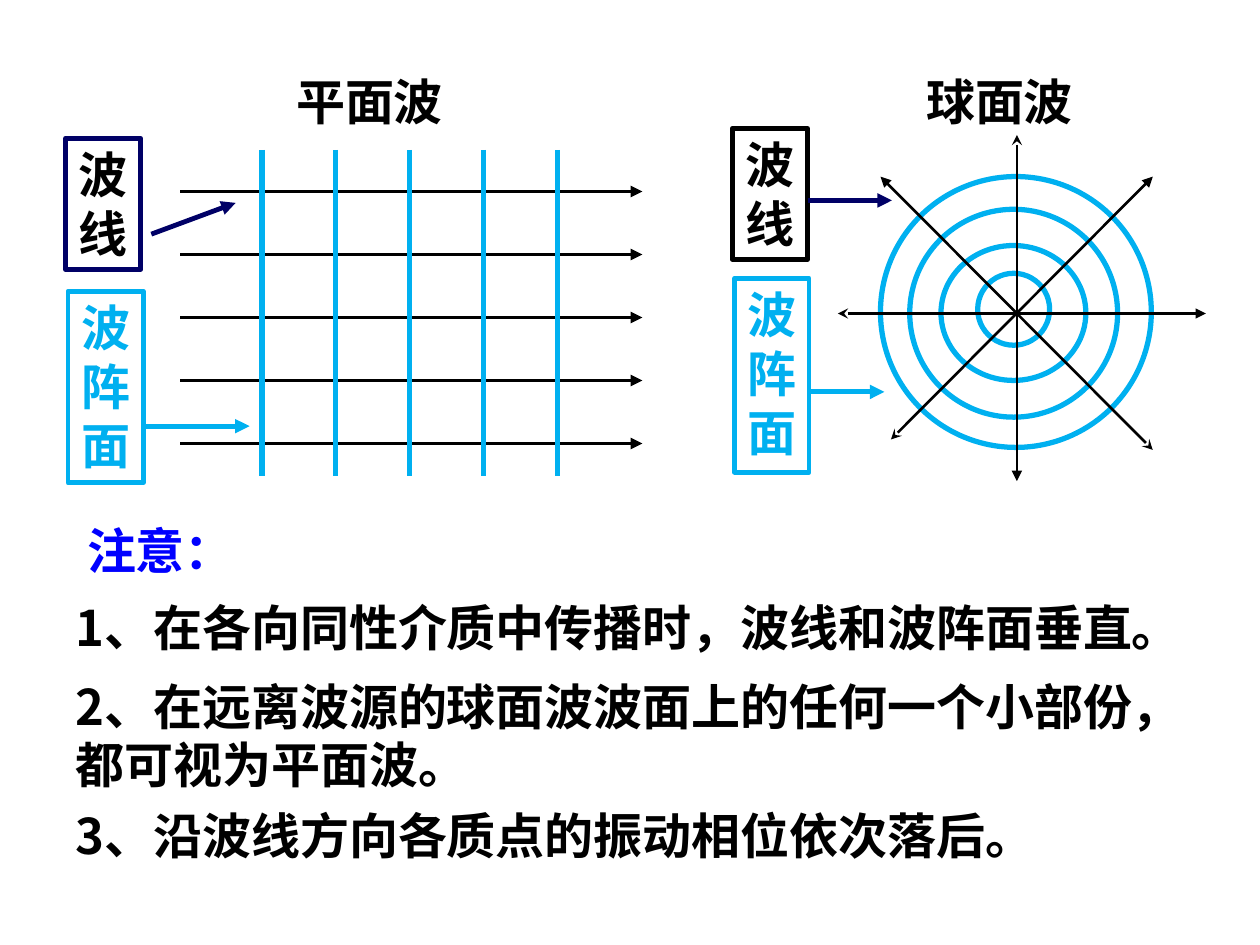
from pptx import Presentation
from pptx.dml.color import RGBColor
from pptx.enum.shapes import MSO_CONNECTOR, MSO_SHAPE
from pptx.enum.text import MSO_ANCHOR, MSO_AUTO_SIZE, PP_ALIGN
from pptx.oxml.ns import qn
from pptx.util import Cm, Pt
from lxml import etree

BLACK = RGBColor(0x00, 0x00, 0x00)
NAVY = RGBColor(0x00, 0x00, 0x66)
SKY = RGBColor(0x00, 0xB0, 0xF0)
BLUE = RGBColor(0x00, 0x00, 0xFF)
FONT = "Noto Sans CJK SC"
LEFT, CENTER = PP_ALIGN.LEFT, PP_ALIGN.CENTER
TOP, NONE = MSO_ANCHOR.TOP, MSO_AUTO_SIZE.NONE
STRAIGHT = MSO_CONNECTOR.STRAIGHT
RECT, OVAL = MSO_SHAPE.RECTANGLE, MSO_SHAPE.OVAL


def write(shape, lines, color=BLACK, align=LEFT, wrap=False, gaps=(0, 0, 0)):
    """Fill a shape with bold lines; gaps are the points before each line."""
    frame = shape.text_frame
    frame.auto_size, frame.word_wrap = NONE, wrap
    frame.vertical_anchor = TOP
    frame.text = "\n".join(lines)
    for para, gap in zip(frame.paragraphs, gaps):
        props = para._p.get_or_add_pPr()
        props.set("marL", "0")
        props.set("indent", "0")
        etree.SubElement(props, qn("a:buNone"))
        para.alignment, para.space_before = align, Pt(gap)
        font = para.runs[0].font
        font.size, font.bold, font.name = Pt(28), True, FONT
        font.color.rgb = color
        east = etree.SubElement(font._element, qn("a:ea"))
        east.set("typeface", FONT)


def draw(x1, y1, x2, y2, color=BLACK, width=2.75, head=None, tail="triangle"):
    """Add a line; head and tail name the arrowheads at its start and end."""
    line = slide.shapes.add_connector(STRAIGHT, Cm(x1), Cm(y1), Cm(x2), Cm(y2))
    line.line.color.rgb, line.line.width = color, Pt(width)
    stroke = line.line._get_or_add_ln()
    for tag, kind in (("a:headEnd", head), ("a:tailEnd", tail)):
        if kind:
            etree.SubElement(stroke, qn(tag)).set("type", kind)
    etree.SubElement(line._element.spPr, qn("a:effectLst"))


deck = Presentation()
deck.slide_width, deck.slide_height = Cm(25.4), Cm(19.05)
slide = deck.slides.add_slide(deck.slide_layouts[1])

# Headings of the two diagrams
for left, name in ((5.72, "平面波"), (18.42, "球面波")):
    box = slide.shapes.add_textbox(Cm(left), Cm(1.32), Cm(5.92), Cm(1.45))
    write(box, [name], wrap=True)

# Plane wave: rays, then wave fronts
for row in range(5):
    y = 3.86 + 1.27 * row
    draw(3.63, y, 12.95, y, width=2.25)
for col in range(5):
    x = 5.28 + 1.49 * col
    draw(x, 3.02, x, 9.6, color=SKY, width=3, tail=None)

# Spherical wave: wave fronts, then rays
fronts = [
    (17.75, 3.56, 5.46, 5.46),
    (18.34, 4.22, 4.19, 4.19),
    (18.97, 4.95, 2.92, 2.72),
    (19.71, 5.51, 1.45, 1.45),
]
for front in fronts:
    ring = slide.shapes.add_shape(OVAL, *map(Cm, front))
    ring.shadow.inherit = False
    ring.fill.background()
    ring.line.color.rgb, ring.line.width = SKY, Pt(3)

rays = [
    (16.89, 6.32, 24.31, 6.32),
    (20.5, 2.72, 20.5, 9.7),
    (17.96, 8.86, 23.24, 3.56),
    (23.24, 9.07, 17.75, 3.56),
]
for ray in rays:
    draw(*ray, width=1.5, head="stealth")

# Labels: text, box, border, text colour, pointer, pointer colour
labels = [
    ("波线", (1.32, 2.79, 1.52, 2.64), NAVY, BLACK, (3.05, 4.72, 4.75, 4.09), NAVY),
    ("波阵面", (1.37, 5.87, 1.52, 3.86), SKY, SKY, (2.9, 8.59, 5.03, 8.59), SKY),
    ("波阵面", (14.81, 5.61, 1.5, 3.91), SKY, SKY, (16.33, 7.9, 17.83, 7.9), SKY),
    ("波线", (14.76, 2.59, 1.52, 2.64), BLACK, BLACK, (16.28, 4.04, 17.98, 4.04), NAVY),
]
for text, place, edge, ink, arrow, tint in labels:
    label = slide.shapes.add_shape(RECT, *map(Cm, place))
    label.shadow.inherit = False
    label.fill.background()
    label.line.color.rgb, label.line.width = edge, Pt(2.75)
    write(label, text, color=ink, align=CENTER)
    draw(*arrow, color=tint)

# Notes
title, body = slide.placeholders
title.left, title.top, title.width, title.height = Cm(1.5), Cm(10.36), Cm(3.53), Cm(1.45)
write(title, ["注意："], color=BLUE)

notes = [
    "1、在各向同性介质中传播时，波线和波阵面垂直。",
    "2、在远离波源的球面波波面上的任何一个小部份，都可视为平面波。",
    "3、沿波线方向各质点的振动相位依次落后。",
]
body.left, body.top, body.width, body.height = Cm(1.27), Cm(11.91), Cm(23.5), Cm(5.7)
write(body, notes, wrap=True, gaps=(0, 11.5, 6.5))

deck.save("out.pptx")
